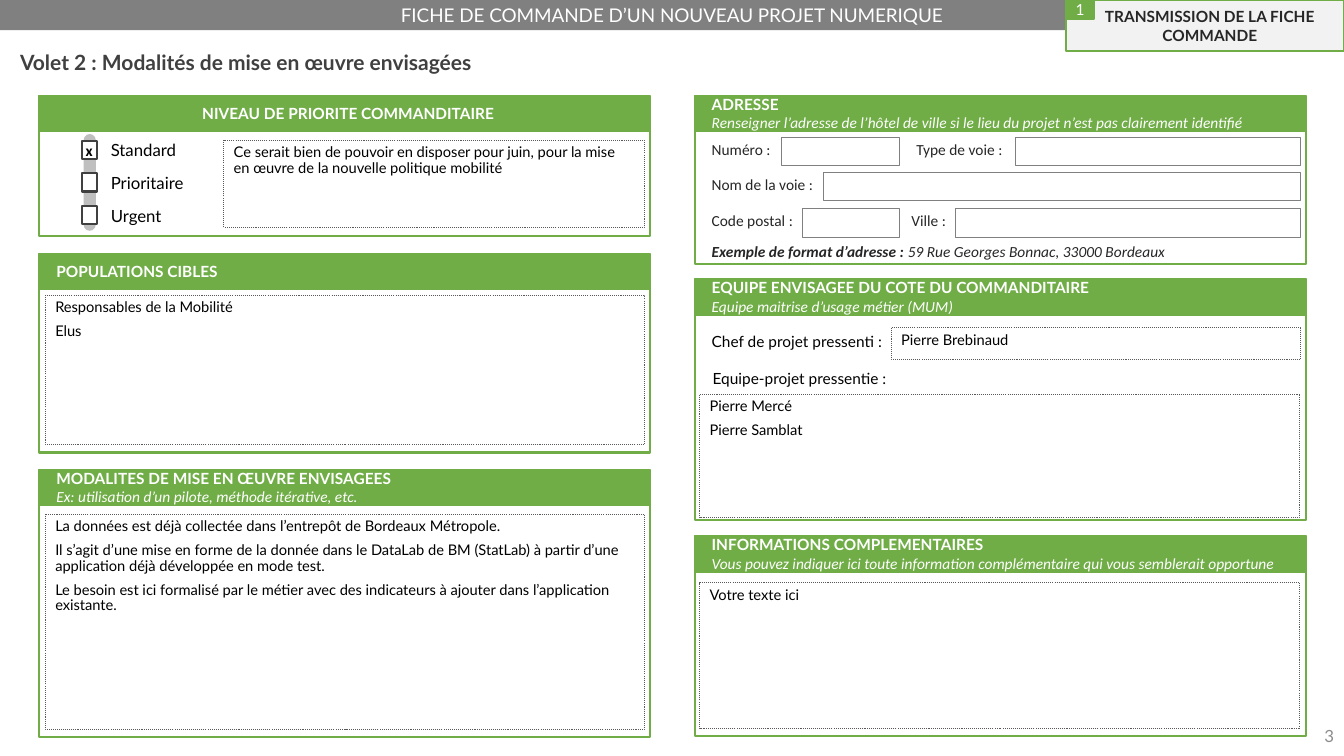
from pptx import Presentation
from pptx.dml.color import RGBColor
from pptx.enum.dml import MSO_LINE
from pptx.enum.shapes import MSO_SHAPE
from pptx.enum.text import MSO_ANCHOR, PP_ALIGN
from pptx.util import Inches, Pt

COLORS = {
    "green": "70AD47", "white": "FFFFFF", "black": "000000", "ink": "262626",
    "title": "404040", "dots": "595959", "bar": "808080", "number": "8C8C8C",
    "track": "BFBFBF", "pale": "F2F2F2",
}


def color(name):
    return RGBColor.from_string(COLORS[name])


def add_box(slide, at, fill=None, line=None, width=1.5, kind=MSO_SHAPE.RECTANGLE):
    s = slide.shapes.add_shape(kind, *map(Inches, at))
    s.shadow.inherit = False
    if fill:
        s.fill.solid()
        s.fill.fore_color.rgb = color(fill)
    else:
        s.fill.background()
    if line:
        s.line.color.rgb = color(line)
        s.line.width = Pt(width)
    else:
        s.line.fill.background()
    return s


def write(s, lines, size, ink, font="Lato", bold=False, align=PP_ALIGN.LEFT,
          anchor=MSO_ANCHOR.TOP, before=0, after=0, spacing=None, inset=None):
    """Fill a shape with one paragraph per line and return the paragraphs."""
    tf = s.text_frame
    tf.word_wrap = True
    tf.vertical_anchor = anchor
    if inset is not None:
        tf.margin_left = tf.margin_right = Inches(inset)
        tf.margin_top = tf.margin_bottom = Inches(inset)
    tf.text = "\n".join(lines)
    for p in tf.paragraphs:
        p.alignment = align
        p.space_before, p.space_after = Pt(before), Pt(after)
        if spacing:
            p.line_spacing = spacing
        p.font.size, p.font.name, p.font.bold = Pt(size), font, bold
        p.font.color.rgb = color(ink)
    return tf.paragraphs


def indent(p, inches):
    pPr = p._p.get_or_add_pPr()
    pPr.set("marL", str(Inches(inches)))
    pPr.set("indent", "0")


def add_text(slide, at, lines, size, ink, **style):
    s = slide.shapes.add_textbox(*map(Inches, at))
    return s, write(s, lines, size, ink, **style)


def add_label(slide, left, top, text, width=1.96, font="Calibri", ink="ink"):
    add_text(slide, (left, top, width, 0.28), [text], 11, ink,
             font=font, before=10, spacing=0.9)


def add_section(slide, left, top, height, title, hint=None, align=PP_ALIGN.LEFT):
    """Green frame with a heading band and an optional italic hint."""
    band = add_box(slide, (left, top, 6.06, 0.35), "green", "green")
    paragraphs = write(band, [title, hint] if hint else [title], 11, "white",
                       bold=True, align=align, anchor=MSO_ANCHOR.MIDDLE)
    for p in paragraphs:
        indent(p, 0.07)
    if hint:
        font = paragraphs[1].font
        font.name, font.bold, font.italic = "Calibri", False, True
    add_box(slide, (left, top, 6.06, height), line="green")


def add_answer(slide, at, *lines):
    s = add_box(slide, at, line="dots", width=0)
    s.line.dash_style = MSO_LINE.ROUND_DOT
    write(s, lines, 10.5, "black", before=5.6, spacing=0.9)


def add_page_header(slide):
    bar = add_box(slide, (0, 0, 13.33, 0.3), "bar")
    write(bar, ["FICHE DE COMMANDE D’UN NOUVEAU PROJET NUMERIQUE"], 13.5, "white",
          align=PP_ALIGN.CENTER, anchor=MSO_ANCHOR.MIDDLE)
    step = add_box(slide, (10.57, 0, 2.76, 0.51), "pale", "green")
    p, = write(step, ["TRANSMISSION DE LA FICHE COMMANDE"], 11, "ink", bold=True,
               align=PP_ALIGN.CENTER, anchor=MSO_ANCHOR.MIDDLE, after=6, inset=0.03)
    indent(p, 0.1)
    badge = add_box(slide, (10.57, 0, 0.28, 0.19), "green", "green", 1)
    write(badge, ["1"], 11, "white", align=PP_ALIGN.CENTER, anchor=MSO_ANCHOR.MIDDLE)
    title, _ = add_text(slide, (0.1, 0.44, 4.99, 0.35),
                        ["Volet 2 : Modalités de mise en œuvre envisagées"],
                        15, "title", bold=True)
    title.text_frame.word_wrap = False
    add_text(slide, (10.33, 7.1, 3, 0.4), ["3"], 12, "number",
             align=PP_ALIGN.RIGHT, anchor=MSO_ANCHOR.MIDDLE)


def add_priority(slide):
    add_section(slide, 0.39, 0.95, 1.39, "NIVEAU DE PRIORITE COMMANDITAIRE",
                align=PP_ALIGN.CENTER)
    add_answer(slide, (2.22, 1.39, 4.17, 0.87),
               "Ce serait bien de pouvoir en disposer pour juin, pour la mise "
               "en œuvre de la nouvelle politique mobilité")
    _, levels = add_text(slide, (1, 1.34, 1.22, 0.96),
                         ["Standard", "Prioritaire", "Urgent"], 12, "black", after=9)
    levels[0].space_before = Pt(9)
    track = add_box(slide, (0.83, 1.33, 0.12, 0.96), "track",
                    kind=MSO_SHAPE.ROUNDED_RECTANGLE)
    track.adjustments[0] = 0.5
    for row, mark in enumerate(["x", "", ""]):
        check = add_box(slide, (0.81, 1.4 + 0.32 * row, 0.15, 0.18), "white", "title")
        if mark:
            write(check, [mark], 11, "black", font="Calibri", bold=True, inset=0,
                  align=PP_ALIGN.CENTER, anchor=MSO_ANCHOR.MIDDLE)


def add_address(slide):
    add_section(slide, 6.89, 0.95, 1.67, "ADRESSE",
                "Renseigner l’adresse de l’hôtel de ville si le lieu du projet "
                "n’est pas clairement identifié")
    fields = [  # label, label left, top, field left, field right
        ("Numéro :", 6.96, 1.36, 7.75, 8.92),
        ("Type de voie :", 8.99, 1.36, 10.07, 12.9),
        ("Nom de la voie :", 6.96, 1.71, 8.16, 12.9),
        ("Code postal :", 6.96, 2.07, 7.96, 8.92),
        ("Ville :", 8.94, 2.07, 9.47, 12.9),
    ]
    for label, left, top, start, end in fields:
        add_label(slide, left, top, label)
        add_box(slide, (start, top, end - start, 0.28), line="bar", width=0.25)
    _, (p,) = add_text(slide, (6.96, 2.37, 5.84, 0.34),
                       ["Exemple de format d’adresse : "], 11, "ink",
                       font="Calibri", bold=True, before=10, spacing=0.9)
    p.font.italic = True
    r = p.add_run()
    r.text = "59 Rue Georges Bonnac, 33000 Bordeaux"
    r.font.bold = False


def add_team(slide):
    add_section(slide, 6.89, 2.77, 2.39, "EQUIPE ENVISAGEE DU COTE DU COMMANDITAIRE",
                "Equipe maitrise d’usage métier (MUM)")
    add_label(slide, 6.96, 3.27, "Chef de projet pressenti :", font="Lato", ink="black")
    add_answer(slide, (8.84, 3.25, 4.06, 0.32), "Pierre Brebinaud")
    add_label(slide, 6.97, 3.63, "Equipe-projet pressentie :", 3.9, "Lato", "black")
    add_answer(slide, (6.94, 3.91, 5.95, 1.22), "Pierre Mercé", "Pierre Samblat")


def main():
    prs = Presentation()
    prs.slide_width, prs.slide_height = Inches(13.33), Inches(7.5)
    slide = prs.slides.add_slide(prs.slide_layouts[6])

    add_page_header(slide)
    add_priority(slide)
    add_section(slide, 0.39, 2.52, 1.97, "POPULATIONS CIBLES")
    add_answer(slide, (0.45, 2.93, 5.94, 1.48), "Responsables de la Mobilité", "Elus")
    add_section(slide, 0.39, 4.66, 2.65, "MODALITES DE MISE EN ŒUVRE ENVISAGEES",
                "Ex: utilisation d’un pilote, méthode itérative, etc.")
    add_answer(slide, (0.45, 5.1, 5.94, 2.14),
               "La données est déjà collectée dans l’entrepôt de Bordeaux Métropole.",
               "Il s’agit d’une mise en forme de la donnée dans le DataLab de BM "
               "(StatLab) à partir d’une application déjà développée en mode test.",
               "Le besoin est ici formalisé par le métier avec des indicateurs "
               "à ajouter dans l’application existante.")
    add_address(slide)
    add_team(slide)
    add_section(slide, 6.89, 5.32, 1.98, "INFORMATIONS COMPLEMENTAIRES",
                "Vous pouvez indiquer ici toute information complémentaire "
                "qui vous semblerait opportune")
    add_answer(slide, (6.94, 5.78, 5.95, 1.45), "Votre texte ici")

    prs.save("out.pptx")


if __name__ == "__main__":
    main()
